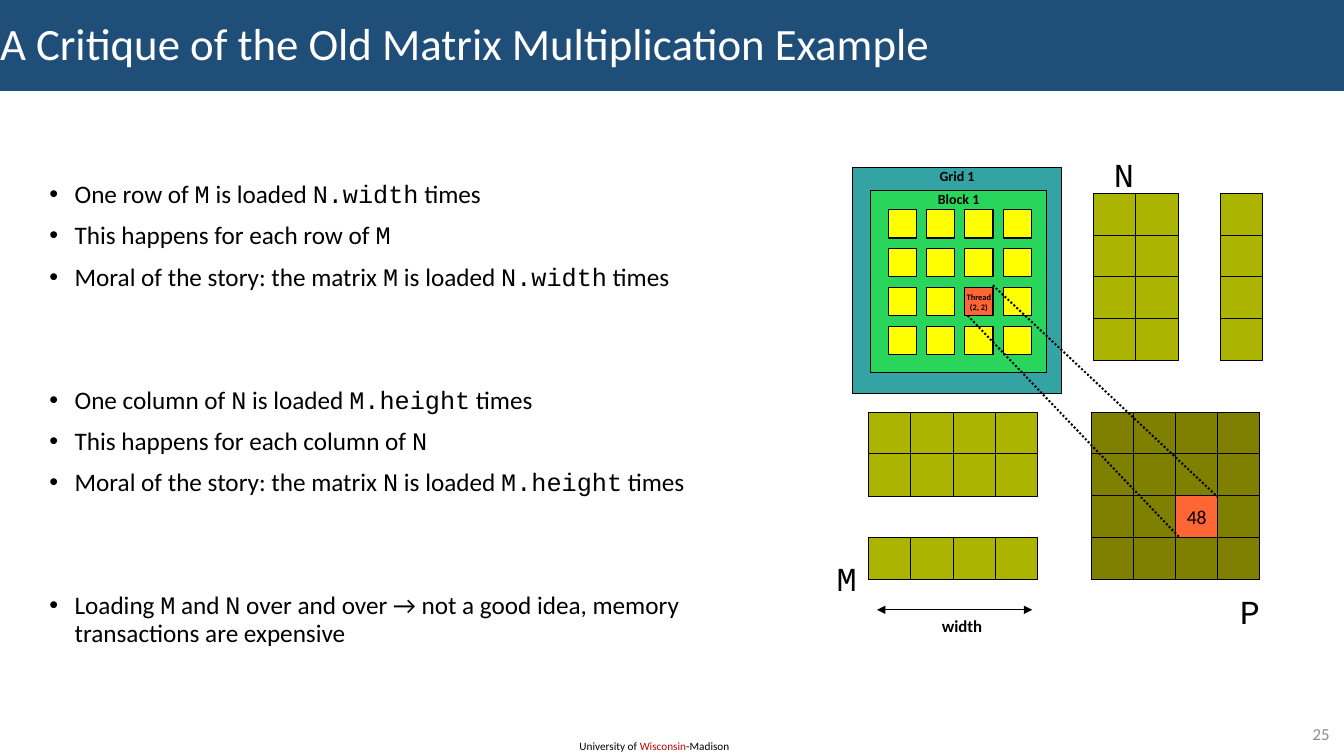
"""Builds a slide on how often matrices M and N are loaded in matrix multiplication."""
from itertools import product

from lxml import etree
from pptx import Presentation
from pptx import util as u
from pptx.dml.color import RGBColor
from pptx.enum import dml, shapes, text
from pptx.oxml import ns

COLORS = {
    "black": "000000", "white": "FFFFFF", "gray": "8C8C8C", "red": "C00000",
    "navy": "1F4E79", "teal": "33A3A3", "green": "23FF23", "yellow": "FFFF00",
    "orange": "FF6633", "lime": "ABB400", "olive": "808000",
}
SANS, MONO = "Calibri", "Courier New"
LEFT, CENTER, RIGHT = text.PP_ALIGN.LEFT, text.PP_ALIGN.CENTER, text.PP_ALIGN.RIGHT
TOP, MIDDLE = text.MSO_ANCHOR.TOP, text.MSO_ANCHOR.MIDDLE

BULLET_GROUPS = [
    ["One row of |M| is loaded |N.width| times",
     "This happens for each row of |M",
     "Moral of the story: the matrix |M| is loaded |N.width| times"],
    ["One column of |N| is loaded |M.height| times",
     "This happens for each column of |N",
     "Moral of the story: the matrix |N| is loaded |M.height| times"],
    ["Loading |M| and |N| over and over → not a good idea, memory transactions are expensive"],
]


def color(name):
    """Return the named colour."""
    return RGBColor.from_string(COLORS[name])


class SlideBuilder:
    """Holds the page and the shared style, and draws each kind of element."""

    def __init__(self, page):
        """Keep the page to draw on."""
        self.page = page

    def place(self, box, left, top, width, height):
        """Set the frame of a box in points."""
        box.left, box.top = u.Pt(left), u.Pt(top)
        box.width, box.height = u.Pt(width), u.Pt(height)

    def frame(self, box, anchor=TOP, margins=(0, 0, 0, 0), wrap=True):
        """Prepare the text frame of a box and return it."""
        frame = box.text_frame
        frame.auto_size = text.MSO_AUTO_SIZE.NONE
        frame.word_wrap = wrap
        frame.vertical_anchor = anchor
        frame.margin_left, frame.margin_top, frame.margin_right, frame.margin_bottom = (
            u.Pt(margin) for margin in margins)
        return frame

    def style(self, para, size, ink="black", font=SANS, bold=False, align=LEFT):
        """Format a whole paragraph."""
        para.alignment = align
        para.font.size, para.font.bold, para.font.name = u.Pt(size), bold, font
        para.font.color.rgb = color(ink)

    def title(self, words):
        """Fill the title placeholder as a band across the top."""
        box = self.page.shapes.title
        self.place(box, 0, 0, 960, 65)
        box.fill.solid()
        box.fill.fore_color.rgb = color("navy")
        para = self.frame(box, MIDDLE).paragraphs[0]
        para.text = words
        para.line_spacing = 0.9
        self.style(para, 32, "white")

    def bullets(self, groups):
        """Fill the body placeholder with groups of bullets; bars mark code spans."""
        box = self.page.placeholders[1]
        self.place(box, 28.1, 96.5, 488.2, 396)
        frame = self.frame(box, margins=(7.2, 33.4, 7.2, 3.6))
        for number, group in enumerate(groups):
            for position, line in enumerate(group):
                first = number == position == 0
                para = frame.paragraphs[0] if first else frame.add_paragraph()
                para.line_spacing = 0.9
                para.space_before = u.Pt(0 if first else 10 if position else 68.5)
                props = para._p.get_or_add_pPr()
                props.set("marL", str(u.Pt(18)))
                props.set("indent", str(u.Pt(-18)))
                etree.SubElement(props, ns.qn("a:buChar")).set("char", "•")
                self.style(para, 18)
                for index, words in enumerate(line.split("|")):
                    span = para.add_run()
                    span.text = words
                    span.font.name = MONO if index % 2 else SANS

    def label(self, words, left, top, width, height, size, **style):
        """Add a one-line text box."""
        box = self.page.shapes.add_textbox(0, 0, 0, 0)
        self.place(box, left, top, width, height)
        para = self.frame(box).paragraphs[0]
        para.text = words
        self.style(para, size, **style)
        return box

    def panel(self, fill, left, top, width, height, lines=(), size=10,
              bold=True, anchor=TOP, opacity=None):
        """Add an outlined rectangle with optional centred text."""
        box = self.page.shapes.add_shape(shapes.MSO_SHAPE.RECTANGLE, 0, 0, 0, 0)
        self.place(box, left, top, width, height)
        box.shadow.inherit = False
        box.fill.solid()
        box.fill.fore_color.rgb = color(fill)
        if opacity:
            tint = box.fill._xPr.find(".//" + ns.qn("a:srgbClr"))
            etree.SubElement(tint, ns.qn("a:alpha")).set("val", str(opacity * 1000))
        box.line.color.rgb = color("black")
        box.line.width = u.Pt(0.75)
        frame = self.frame(box, anchor, wrap=False)
        for index, words in enumerate(lines):
            para = frame.add_paragraph() if index else frame.paragraphs[0]
            para.text = words
            self.style(para, size, bold=bold, align=CENTER)

    def grid(self, fill, left, top, rows, columns, pitch, side, marked=None, **mark):
        """Add square cells on a regular grid, with one optional marked cell."""
        for row, column in product(rows, columns):
            spot = left + column * pitch[0], top + row * pitch[1], side, side
            if (row, column) == marked:
                self.panel("orange", *spot, anchor=MIDDLE, **mark)
            else:
                self.panel(fill, *spot)

    def line(self, start, end, width, dash=None, arrows=False):
        """Add a straight line between two points."""
        line = self.page.shapes.add_connector(
            shapes.MSO_CONNECTOR.STRAIGHT, *(u.Pt(value) for value in start + end))
        line.line.color.rgb = color("black")
        line.line.width = u.Pt(width)
        if dash:
            line.line.dash_style = dash
        if arrows:
            outline = line.line._get_or_add_ln()
            for tag in ("a:headEnd", "a:tailEnd"):
                etree.SubElement(outline, ns.qn(tag)).set("type", "triangle")
        etree.SubElement(line._element.spPr, ns.qn("a:effectLst"))


def main():
    """Build the slide and save it."""
    deck = Presentation()
    deck.slide_width, deck.slide_height = u.Pt(960), u.Pt(540)
    builder = SlideBuilder(deck.slides.add_slide(deck.slide_layouts[1]))
    builder.title("A Critique of the Old Matrix Multiplication Example")
    builder.bullets(BULLET_GROUPS)

    footer = builder.label("", 406.8, 524.2, 123.8, 17.3, 8)
    builder.frame(footer, margins=(7.2, 3.6, 7.2, 3.6))
    for words, ink in (("University of ", "black"), ("Wisconsin", "red"), ("-Madison", "black")):
        span = footer.text_frame.paragraphs[0].add_run()
        span.text = words
        span.font.color.rgb = color(ink)
    number = builder.label("25", 902.2, 513.4, 54.7, 20.9, 12, ink="gray", align=RIGHT)
    builder.frame(number, MIDDLE, (7.2, 3.6, 7.2, 3.6))

    builder.panel("teal", 609.1, 119.5, 149, 161.3, ["Grid 1"])
    builder.panel("green", 622.1, 136.1, 125.3, 130.3, ["Block 1"], opacity=55)
    every, split = range(4), (0, 1, 3)
    matrix = {"pitch": (30.1, 29.7), "side": 30.2}
    builder.grid("lime", 620.6, 294.5, split, every, **matrix)
    builder.grid("lime", 781.2, 138.2, every, split, **matrix)
    builder.grid("olive", 779.5, 294.5, every, every, **matrix,
                 marked=(2, 2), lines=["48"], size=14, bold=False)
    builder.grid("yellow", 634.3, 149.8, every, every, (27.4, 27.85), 20.2,
                 marked=(2, 2), lines=["Thread", "(2, 2)"], size=6)

    dots = dml.MSO_LINE.ROUND_DOT
    builder.line((691.2, 225.4), (842.4, 383.8), 1.45, dots)
    builder.line((709.2, 203.8), (869.8, 355), 1.45, dots)
    builder.line((626.4, 435.6), (737.3, 435.6), 0.75, arrows=True)

    builder.label("width", 645.8, 439.9, 82.8, 14.4, 12, bold=True, align=CENTER)
    for name, left, top in (("M", 597.6, 398.2), ("P", 885.6, 421.9), ("N", 795.6, 110.2)):
        builder.label(name, left, top, 28.8, 28.8, 24, font=MONO)
    deck.save("out.pptx")


if __name__ == "__main__":
    main()
